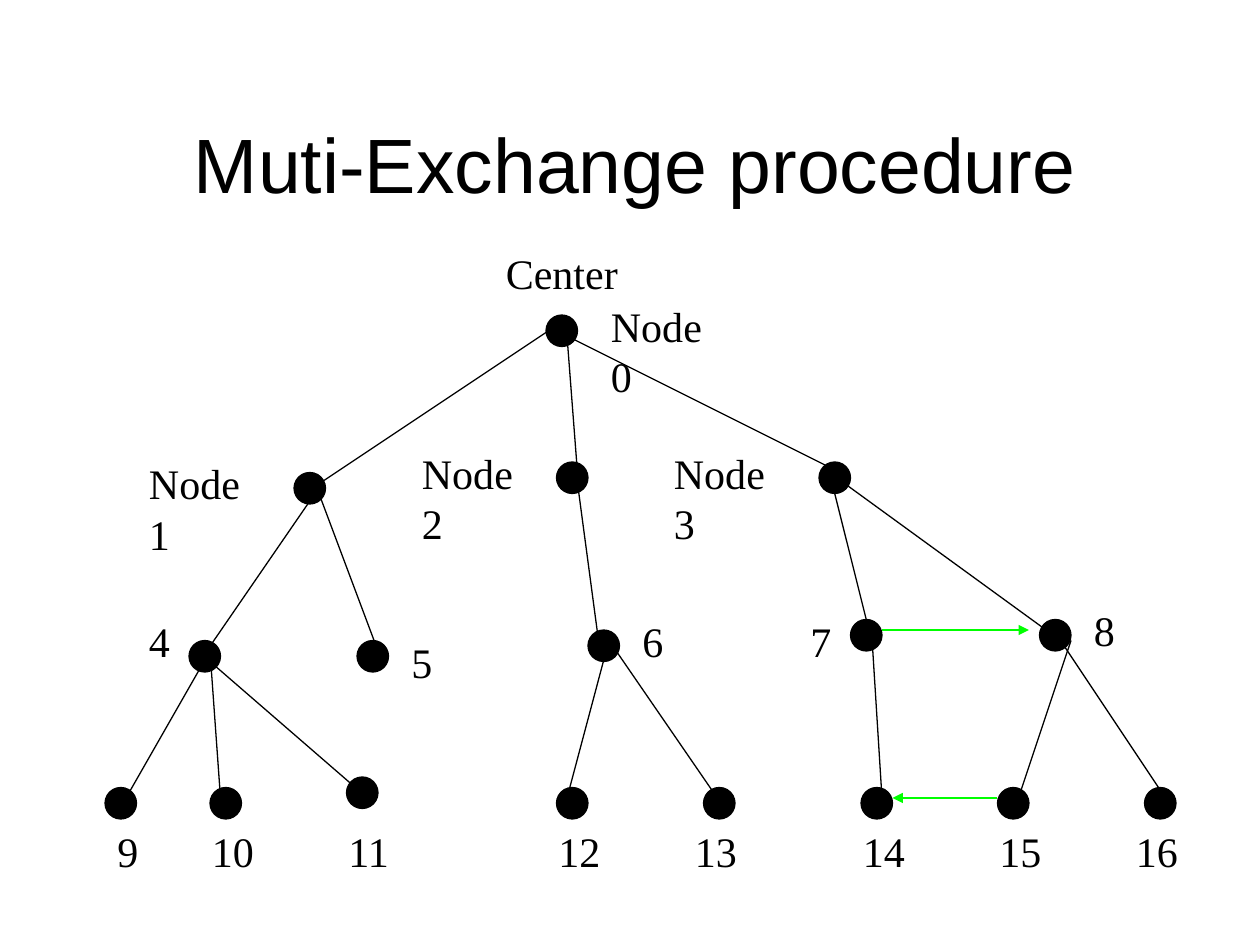
from lxml import etree
from pptx import Presentation
from pptx import util as u
from pptx.dml.color import RGBColor
from pptx.enum import shapes, text
from pptx.oxml.ns import qn

COLS, ROWS = 120, 90  # twelve grid steps to the inch
NODE_SIZE = 3
LABEL_HEIGHT = 6
LABEL_WIDTHS = {1: 4.3, 2: 6.4, 6: 14}  # by number of characters

# label, node (column, row), label box (column, row)
NODES = [
    ("Node 0", (52, 30), (57, 28)),
    ("Node 1", (28, 45), (13, 43)),
    ("Node 2", (53, 44), (39, 42)),
    ("Node 3", (78, 44), (63, 42)),
    ("4", (18, 61), (13, 58)),
    ("5", (34, 61), (38, 60)),
    ("6", (56, 60), (60, 58)),
    ("7", (81, 59), (76, 58)),
    ("8", (99, 59), (103, 57)),
    ("9", (10, 75), (10, 78)),
    ("10", (20, 75), (19, 78)),
    ("11", (33, 74), (32, 78)),
    ("12", (53, 75), (52, 78)),
    ("13", (67, 75), (65, 78)),
    ("14", (82, 75), (81, 78)),
    ("15", (95, 75), (94, 78)),
    ("16", (109, 75), (107, 78)),
]

EDGES = [
    ((53, 31), (29, 47)), ((54, 32), (55, 45)), ((54, 32), (80, 45)),
    ((30, 47), (19, 63)), ((30, 46), (36, 62)), ((55, 46), (57, 61)),
    ((79, 45), (83, 61)), ((79, 45), (101, 61)),
    ((20, 62), (12, 76)), ((20, 62), (21, 76)), ((20, 63), (35, 76)),
    ((58, 61), (54, 76)), ((58, 61), (69, 77)), ((83, 60), (84, 76)),
    ((102, 61), (97, 76)), ((101, 61), (111, 76)),
]

EXCHANGES = [((84, 60), (98, 60)), ((95, 76), (85, 76))]


def rgb(color):
    return RGBColor.from_string(color)


class TreeSlide:
    ink, accent = "000000", "00FF00"
    title_font, label_font = "Arial", "Times New Roman"
    title_size, label_size, line_width = 44, 24, 0.75

    def __init__(self, prs):
        self.cell = prs.slide_width / COLS
        self.s = prs.slides.add_slide(prs.slide_layouts[5])

    def grid(self, *steps):
        return [u.Emu(round(n * self.cell)) for n in steps]

    def format_runs(self, tf, font, size, align):
        for p in tf.paragraphs:
            p.alignment = align
            for r in p.runs:
                r.font.name = font
                r.font.size = u.Pt(size)
                r.font.color.rgb = rgb(self.ink)

    def title(self, words, left, top, width, height):
        sp = self.s.shapes.title
        sp.left, sp.top, sp.width, sp.height = self.grid(left, top, width, height)
        tf = sp.text_frame
        tf.text = words
        tf.vertical_anchor = text.MSO_ANCHOR.MIDDLE
        self.format_runs(tf, self.title_font, self.title_size, text.PP_ALIGN.CENTER)

    def node(self, left, top):
        sp = self.s.shapes.add_shape(
            shapes.MSO_SHAPE.OVAL, *self.grid(left, top, NODE_SIZE, NODE_SIZE))
        sp.shadow.inherit = False
        sp.fill.solid()
        sp.fill.fore_color.rgb = rgb(self.ink)
        sp.line.color.rgb = rgb(self.ink)
        sp.line.width = u.Pt(self.line_width)

    def label(self, words, left, top):
        width = LABEL_WIDTHS[len(words)]
        sp = self.s.shapes.add_textbox(*self.grid(left, top, width, LABEL_HEIGHT))
        tf = sp.text_frame
        tf.text = words
        tf.word_wrap = False
        tf.auto_size = text.MSO_AUTO_SIZE.SHAPE_TO_FIT_TEXT
        self.format_runs(tf, self.label_font, self.label_size, text.PP_ALIGN.LEFT)

    def line(self, start, end, color=ink):
        cxn = self.s.shapes.add_connector(
            shapes.MSO_CONNECTOR.STRAIGHT, *self.grid(*start, *end))
        cxn.line.color.rgb = rgb(color)
        cxn.line.width = u.Pt(self.line_width)
        etree.SubElement(cxn._element.spPr, qn("a:effectLst"))
        return cxn

    def arrow(self, start, end):
        ln = self.line(start, end, self.accent).line._get_or_add_ln()
        etree.SubElement(ln, qn("a:tailEnd"), type="triangle")


def main():
    prs = Presentation()
    prs.slide_width, prs.slide_height = u.Inches(COLS / 12), u.Inches(ROWS / 12)
    tree = TreeSlide(prs)
    tree.title("Muti-Exchange procedure", 5, 8, 111, 15)
    for _, node_at, _ in NODES:
        tree.node(*node_at)
    for edge in EDGES:
        tree.line(*edge)
    tree.label("Center", 47, 23)
    for words, _, label_at in NODES:
        tree.label(words, *label_at)
    for exchange in EXCHANGES:
        tree.arrow(*exchange)
    prs.save("out.pptx")


if __name__ == "__main__":
    main()
